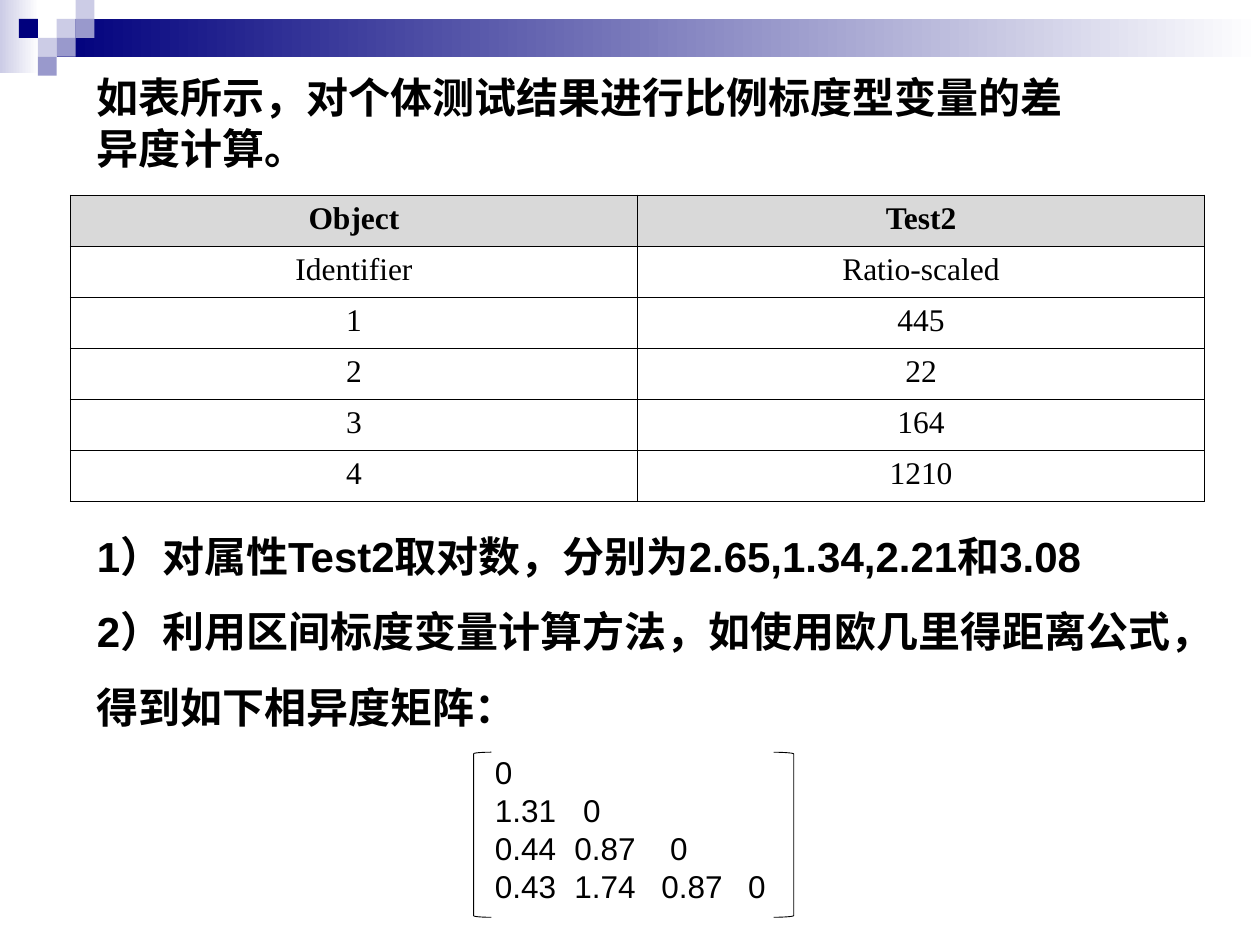
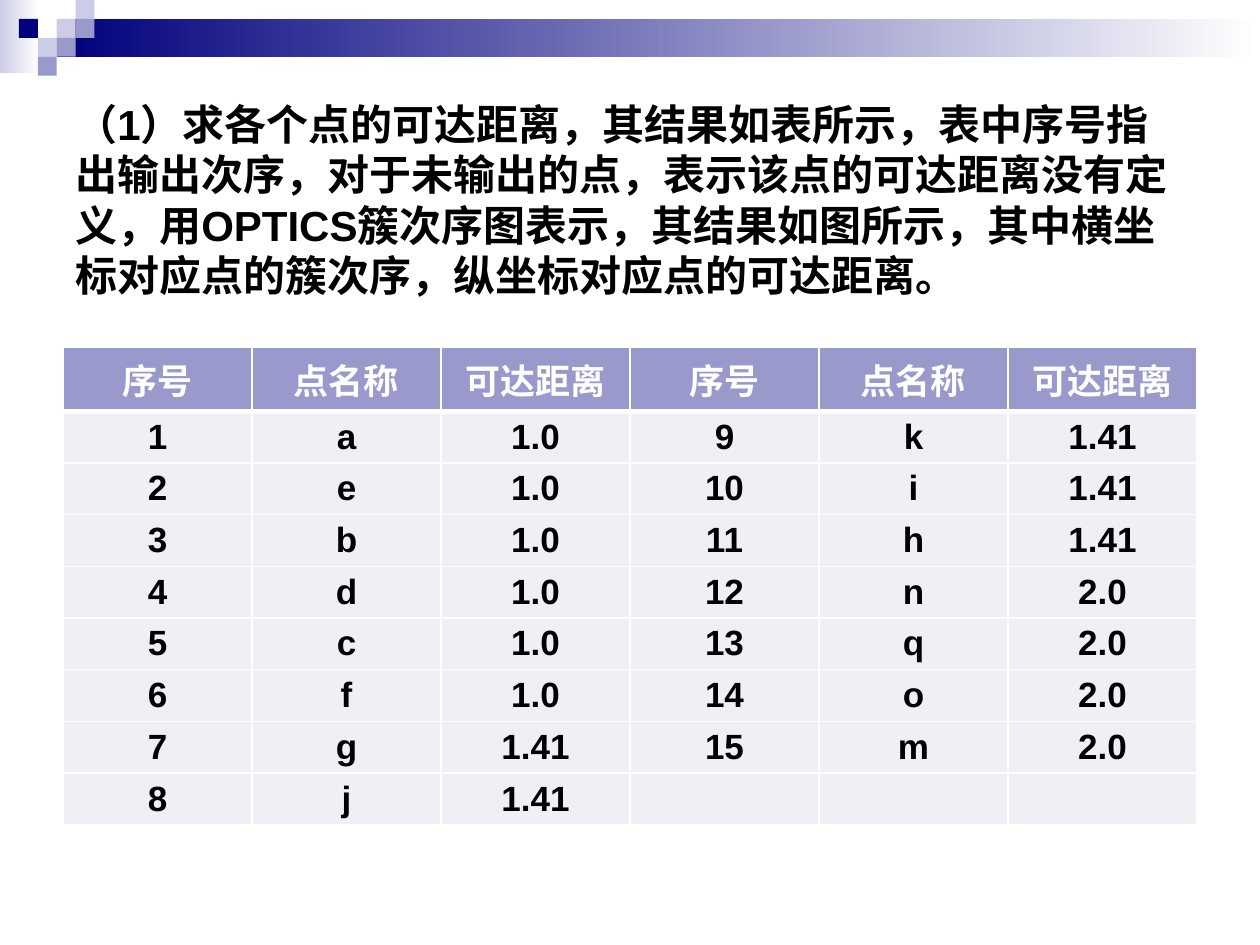
from collections import namedtuple

from lxml.etree import SubElement
from pptx import Presentation
from pptx.dml.color import RGBColor
from pptx.enum.shapes import MSO_SHAPE as Preset
from pptx.enum.text import MSO_ANCHOR as Anchor, MSO_AUTO_SIZE as AutoSize, PP_ALIGN as Align
from pptx.oxml.ns import qn
from pptx.util import Inches, Pt

COLORS = {
    "navy": "00007D", "violet": "9999CC", "lilac": "CCCCE6", "pale": "EFEFF6",
    "grey": "D9D9D9", "black": "000000", "white": "FFFFFF",
}
COLUMNS, ROWS = 100, 75          # the slide grid, in units of a tenth of an inch
UNIT = Inches(0.1)
SQUARE = 1.5                     # side of a corner square, in grid units
Box = namedtuple("Box", "left top width height")


def rgb(name):
    return RGBColor.from_string(COLORS[name])


def emu(box):
    return [round(side * UNIT) for side in box]


def write(frame, lines, size=24, bold=True, font="Arial", color="black",
          align=Align.LEFT, spacing=None, tabs=None):
    """Fill a text frame, one paragraph a line; tabs holds the stops of each line in grid units."""
    for index, line in enumerate(lines):
        paragraph = frame.paragraphs[0] if index == 0 else frame.add_paragraph()
        paragraph.alignment = align
        if spacing:
            paragraph.line_spacing = spacing
        if tabs and tabs[index]:
            stops = SubElement(paragraph._p.get_or_add_pPr(), qn("a:tabLst"))
            for stop in tabs[index]:
                SubElement(stops, qn("a:tab"), pos=str(round(stop * UNIT)), algn="l")
        run = paragraph.add_run()
        run.text = line
        run.font.size, run.font.bold, run.font.name = Pt(size), bold, font
        run.font.color.rgb = rgb(color)


def add_text(shapes, box, lines, anchor=Anchor.TOP, wrap=True, **text_format):
    frame = shapes.add_textbox(*emu(box)).text_frame
    frame.word_wrap = wrap
    frame.auto_size = AutoSize.NONE
    frame.vertical_anchor = anchor
    write(frame, lines, **text_format)


def add_block(shapes, box, *colors):
    """Add a rectangle in one colour, or in a left-to-right blend of two."""
    block = shapes.add_shape(Preset.RECTANGLE, *emu(box))
    block.shadow.inherit = False
    block.line.fill.background()
    if len(colors) == 1:
        block.fill.solid()
        block.fill.fore_color.rgb = rgb(colors[0])
        return
    block.fill.gradient()
    block.fill.gradient_angle = 0
    for stop, color in zip(block.fill.gradient_stops, colors):
        stop.color.rgb = rgb(color)


def add_header_band(slide, box):
    band = slide.shapes.add_group_shape().shapes
    add_block(band, Box(box.left, box.top, 3.1, 5.8), "lilac", "white")
    add_block(band, Box(box.left + 3 * SQUARE, box.top + SQUARE,
                        box.width - 3 * SQUARE, 2 * SQUARE), "navy", "white")
    mosaic = [(3, 1, "lilac"), (4, 0, "lilac"), (4, 1, "violet"), (2, 2, "lilac"),
              (1, 1, "navy"), (3, 2, "violet"), (2, 3, "violet")]
    for column, row, color in mosaic:
        add_block(band, Box(box.left + column * SQUARE, box.top + row * SQUARE,
                            SQUARE, SQUARE), color)


def set_borders(cell, color, top=1, bottom=1):
    properties = cell._tc.get_or_add_tcPr()
    for index, (side, points) in enumerate(
            [("L", 1), ("R", 1), ("T", top), ("B", bottom)]):
        line = properties.makeelement(qn("a:ln" + side), {"w": str(Pt(points))})
        SubElement(SubElement(line, qn("a:solidFill")), qn("a:srgbClr"), val=COLORS[color])
        properties.insert(index, line)


def add_grid_table(slide, box, rows, head, body, border, head_height=None,
                   head_rule=1, anchor=Anchor.TOP):
    """Add a table; head and body are (fill, text format) pairs."""
    table = slide.shapes.add_table(len(rows), len(rows[0]), *emu(box)).table
    table.horz_banding = False
    head_height = head_height or box.height / len(rows)
    row_height = (box.height - head_height) / (len(rows) - 1)
    for column in table.columns:
        column.width = round(box.width * UNIT / len(rows[0]))
    for r, values in enumerate(rows):
        table.rows[r].height = round((row_height if r else head_height) * UNIT)
        fill, text_format = body if r else head
        for c, value in enumerate(values):
            cell = table.cell(r, c)
            cell.fill.solid()
            cell.fill.fore_color.rgb = rgb(fill)
            cell.vertical_anchor = anchor
            set_borders(cell, border, top=head_rule if r == 1 else 1,
                        bottom=head_rule if r == 0 else 1)
            if value:
                write(cell.text_frame, [value], align=Align.CENTER, **text_format)


def add_matrix(slide, box):
    """Add the lower triangle of distances between square brackets."""
    matrix = slide.shapes.add_group_shape().shapes
    add_text(matrix, Box(box.left + 0.7, box.top, box.width - 0.9, box.height - 0.4),
             ["0", "1.31\t0", "0.44\t0.87\t0", "0.43\t1.74\t0.87\t0"],
             size=18, bold=False, wrap=False,
             tabs=[[], [7], [6.3, 13.9], [6.3, 13.2, 20.1]])
    right = box.left + box.width
    for preset, left, width in [(Preset.LEFT_BRACKET, box.left, 1.4),
                                (Preset.RIGHT_BRACKET, right - 1.6, 1.6)]:
        bracket = matrix.add_shape(preset, *emu(Box(left, box.top + 0.4, width, box.height - 0.4)))
        bracket.shadow.inherit = False
        bracket.fill.background()
        bracket.line.color.rgb = rgb("black")
        bracket.line.width = Pt(0.5)


def build_ratio_slide(slide, box):
    add_header_band(slide, box)
    rows = [("Object", "Test2"), ("Identifier", "Ratio-scaled"),
            ("1", "445"), ("2", "22"), ("3", "164"), ("4", "1210")]
    serif = {"size": 18, "font": "Times New Roman"}
    add_grid_table(slide, Box(5.6, 15.5, 90, 24.3), rows, border="black",
                   head=("grey", serif), body=("white", {**serif, "bold": False}))
    add_text(slide.shapes, Box(6.7, 39.6, 90.6, 18.4),
             ["1）对属性Test2取对数，分别为2.65,1.34,2.21和3.08",
              "2）利用区间标度变量计算方法，如使用欧几里得距离公式，得到如下相异度矩阵："],
             spacing=1.5)
    add_matrix(slide, Box(37.6, 59.3, 25.4, 13.5))
    add_text(slide.shapes, Box(6.7, 5.2, 80.3, 9.1),
             ["如表所示，对个体测试结果进行比例标度型变量的差异度计算。"])


def build_reachability_slide(slide, box):
    add_header_band(slide, box)
    add_text(slide.shapes, Box(5, 8.3, 90, 15),
             ["（1）求各个点的可达距离，其结果如表所示，表中序号指出输出次序，对于未输出的点，"
              "表示该点的可达距离没有定义，用OPTICS簇次序图表示，其结果如图所示，"
              "其中横坐标对应点的簇次序，纵坐标对应点的可达距离。"],
             anchor=Anchor.MIDDLE)
    distances = [("aebdcf", "1.0"), ("gjkih", "1.41"), ("nqom", "2.0")]
    reached = [(point, distance) for points, distance in distances for point in points]
    entries = [(str(order), *entry) for order, entry in enumerate(reached, 1)]
    entries.append(("", "", ""))
    half = len(entries) // 2
    rows = [("序号", "点名称", "可达距离") * 2]
    rows += [left + right for left, right in zip(entries[:half], entries[half:])]
    add_grid_table(slide, Box(5, 27.6, 90, 37.8), rows, border="white",
                   head=("violet", {"size": 20, "color": "white"}),
                   body=("pale", {"size": 20}),
                   head_height=5, head_rule=3, anchor=Anchor.MIDDLE)


def main():
    deck = Presentation()
    deck.slide_width, deck.slide_height = COLUMNS * UNIT, ROWS * UNIT
    for build in (build_ratio_slide, build_reachability_slide):
        build(deck.slides.add_slide(deck.slide_layouts[6]), Box(0, 0, COLUMNS, ROWS))
    deck.save("out.pptx")


if __name__ == "__main__":
    main()
